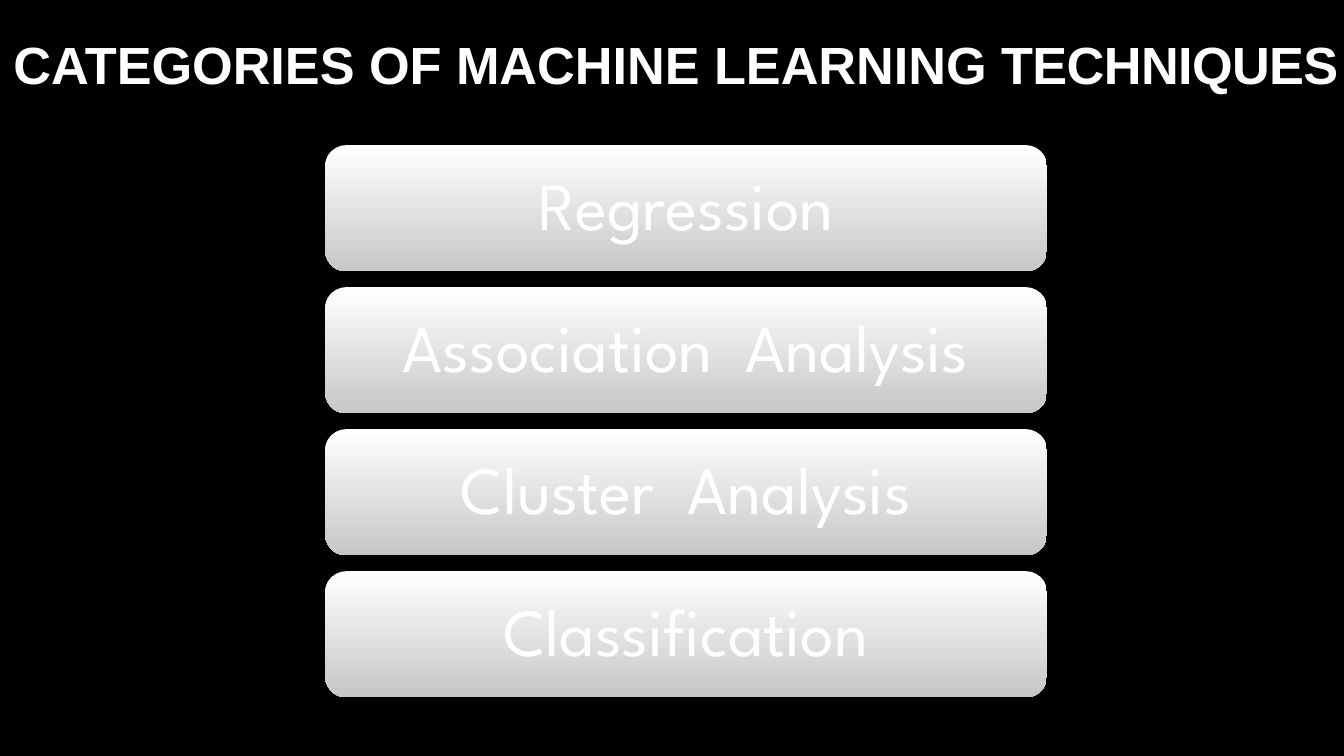
from pptx import Presentation
from pptx.dml.color import RGBColor
from pptx.enum.shapes import MSO_SHAPE
from pptx.enum.text import MSO_ANCHOR, MSO_AUTO_SIZE, PP_ALIGN
from pptx.util import Inches, Pt

WIDTH = 10
HEIGHT = WIDTH * 9 / 16
TECHNIQUES = ["Regression", "Association  Analysis", "Cluster  Analysis", "Classification"]
ROW_LEFT, ROW_WIDTH, ROW_HEIGHT = 2.42, 5.37, 0.94
FIRST_TOP, LAST_TOP = 1.08, 4.25
ROW_PITCH = (LAST_TOP - FIRST_TOP) / (len(TECHNIQUES) - 1)


def color(hex_code):
    """Turn a hex string into a colour."""
    return RGBColor.from_string(hex_code)


def place(shape, left, top, width, height):
    """Position a shape in inches."""
    shape.left, shape.top = Inches(left), Inches(top)
    shape.width, shape.height = Inches(width), Inches(height)


def set_margins(frame, side, top, bottom):
    """Set the inner margins of a text frame in inches."""
    frame.margin_left = frame.margin_right = Inches(side)
    frame.margin_top, frame.margin_bottom = Inches(top), Inches(bottom)


def write(frame, parts, font_name, size, alignment, spacing, bold=False):
    """Fill a text frame with one white line made of the given parts."""
    frame.word_wrap = True
    frame.vertical_anchor = MSO_ANCHOR.MIDDLE
    paragraph = frame.paragraphs[0]
    paragraph.alignment = alignment
    paragraph.line_spacing = spacing
    for part in parts:
        run = paragraph.add_run()
        run.text = part
        run.font.name, run.font.size, run.font.bold = font_name, Pt(size), bold
        run.font.color.rgb = color("FFFFFF")


def add_heading(slide, parts):
    """Format the title placeholder, with its last part set slightly tighter."""
    heading = slide.shapes.title
    place(heading, 0.08, -0.02, 10.29, 0.68)
    frame = heading.text_frame
    set_margins(frame, 0, 0.07, 0)
    frame.margin_left = Inches(0.02)
    write(frame, parts, "Arial", 28, PP_ALIGN.LEFT, Pt(50.2), bold=True)
    frame.paragraphs[0].runs[-1].font._element.set("spc", "-30")
    frame.auto_size = MSO_AUTO_SIZE.SHAPE_TO_FIT_TEXT


def add_technique(slide, row, label):
    """Add one rounded gradient bar with its label."""
    bar = slide.shapes.add_shape(MSO_SHAPE.ROUNDED_RECTANGLE, 0, 0, 0, 0)
    place(bar, ROW_LEFT, FIRST_TOP + row * ROW_PITCH, ROW_WIDTH, ROW_HEIGHT)
    bar.shadow.inherit = False
    bar.line.fill.background()
    bar.fill.gradient()
    bar.fill.gradient_angle = 270
    for stop, shade in zip(bar.fill.gradient_stops, ("FFFFFF", "C7C7C7")):
        stop.color.rgb = color(shade)
    set_margins(bar.text_frame, 0.15, 0.15, 0.15)
    write(bar.text_frame, [label], "League Spartan", 36, PP_ALIGN.CENTER, 0.9)


def main():
    """Build the slide and save it."""
    deck = Presentation()
    deck.slide_width, deck.slide_height = Inches(WIDTH), Inches(HEIGHT)
    slide = deck.slides.add_slide(deck.slide_layouts[5])
    slide.background.fill.solid()
    slide.background.fill.fore_color.rgb = color("000000")
    add_heading(slide, ["CATEGORIES OF MACHINE LEARNING ", "TECHNIQUES"])
    for row, label in enumerate(TECHNIQUES):
        add_technique(slide, row, label)
    deck.save("out.pptx")


if __name__ == "__main__":
    main()
